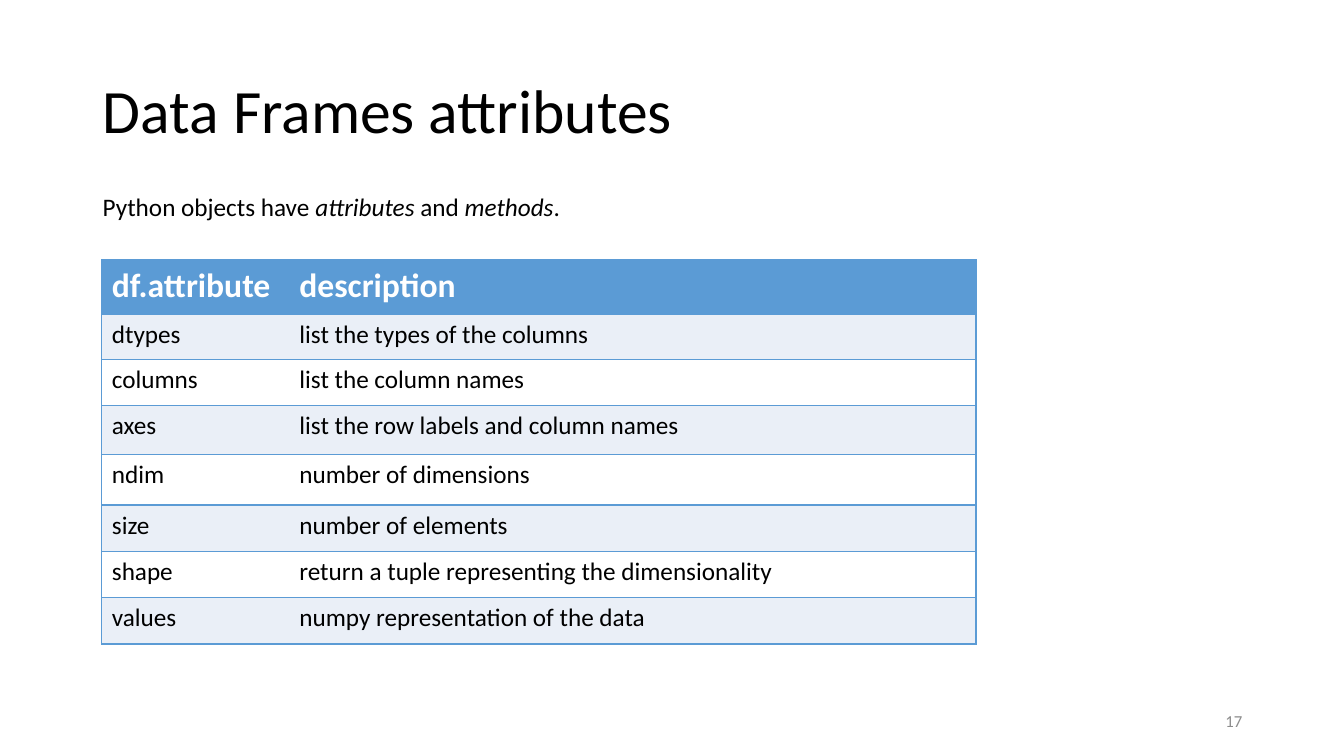
"""Build the slide on data frame attributes: a title, a sentence and a reference table."""
from lxml import etree
from pptx import Presentation
from pptx.dml.color import RGBColor
from pptx.enum.text import MSO_ANCHOR, PP_ALIGN
from pptx.oxml.ns import qn
from pptx.util import Inches, Pt

LEFT, RIGHT = PP_ALIGN.LEFT, PP_ALIGN.RIGHT
MIDDLE = MSO_ANCHOR.MIDDLE
BLUE, PALE, WHITE, BLACK, GREY = "5B9BD5", "EAEFF7", "FFFFFF", "000000", "8C8C8C"
MARGIN, CONTENT_WIDTH = Inches(0.92), Inches(11.5)


def style(paragraph, size, color, bold=False):
    font = paragraph.font
    font.name, font.size, font.bold = "Calibri", Pt(size), bold
    font.color.rgb = RGBColor.from_string(color)


def add_border(cell, side, color=None):
    line = etree.SubElement(cell._tc.get_or_add_tcPr(), qn(f"a:ln{side}"), w=str(Pt(1)))
    if color:
        fill = etree.SubElement(line, qn("a:solidFill"))
        etree.SubElement(fill, qn("a:srgbClr"), val=color)
    else:
        etree.SubElement(line, qn("a:noFill"))


prs = Presentation()
prs.slide_width, prs.slide_height = Inches(13.33), Inches(7.5)
slide = prs.slides.add_slide(prs.slide_layouts[5])

title = slide.shapes.title
title.left, title.top = MARGIN, Inches(0.4)
title.width, title.height = CONTENT_WIDTH, Inches(1.45)
title.text_frame.text = "Data Frames attributes"
title.text_frame.vertical_anchor = MIDDLE
heading = title.text_frame.paragraphs[0]
heading.alignment, heading.line_spacing = LEFT, 0.9
style(heading, 44, BLACK)

number_width = Inches(3)
page_number = slide.shapes.add_textbox(
    MARGIN + CONTENT_WIDTH - number_width, Inches(6.95), number_width, Inches(0.4)).text_frame
page_number.word_wrap = True
page_number.vertical_anchor = MIDDLE
page_number.text = "17"
page_number.paragraphs[0].alignment = RIGHT
style(page_number.paragraphs[0], 12, GREY)

intro = slide.shapes.add_textbox(MARGIN, Inches(1.85), Inches(8.19), Inches(0.4)).text_frame
intro.word_wrap = True
sentence = intro.paragraphs[0]
for words, italic in [("Python objects have ", False), ("attributes", True),
                      (" and ", False), ("methods", True), (".", False)]:
    run = sentence.add_run()
    run.text, run.font.italic = words, italic
style(sentence, 18, BLACK)

attributes = [
    (0.54, "df.attribute", "description"),
    (0.45, "dtypes", "list the types of the columns"),
    (0.45, "columns", "list the column names"),
    (0.49, "axes", "list the row labels and column names"),
    (0.5, "ndim", "number of dimensions"),
    (0.46, "size", "number of elements"),
    (0.46, "shape", "return a tuple representing the dimensionality"),
    (0.46, "values", "numpy representation of the data"),
]
column_widths = [1.86, 6.81]
table = slide.shapes.add_table(
    len(attributes), len(column_widths), Inches(1.01), Inches(2.58),
    Inches(sum(column_widths)), Inches(sum(row[0] for row in attributes))).table
table.horz_banding = False
for column, width in zip(table.columns, column_widths):
    column.width = Inches(width)

for r, (height, *texts) in enumerate(attributes):
    table.rows[r].height = Inches(height)
    is_header = r == 0
    band = BLUE if is_header else PALE if r % 2 else WHITE
    for c, text in enumerate(texts):
        cell = table.cell(r, c)
        cell.text = text
        style(cell.text_frame.paragraphs[0], 24 if is_header else 18,
              WHITE if is_header else BLACK, is_header)
        add_border(cell, "L", BLUE if c == 0 else None)
        add_border(cell, "R", BLUE if c == len(texts) - 1 else None)
        add_border(cell, "T", BLUE)
        add_border(cell, "B", BLUE)
        cell.fill.solid()
        cell.fill.fore_color.rgb = RGBColor.from_string(band)

prs.save("out.pptx")
